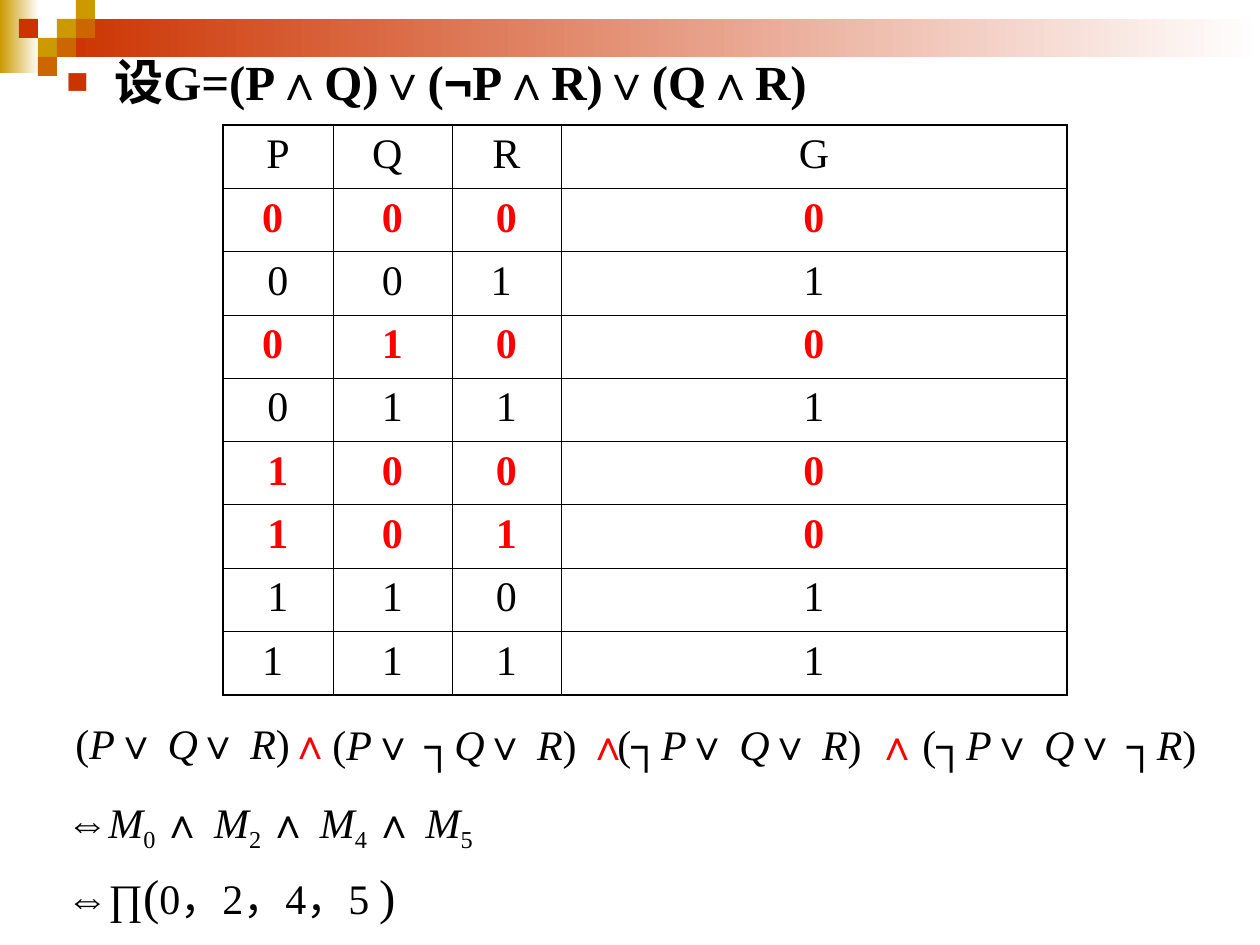
import pptx
import pptx.util
import pptx.oxml
import pptx.oxml.ns
from pptx.dml.color import RGBColor
from pptx.enum.shapes import MSO_SHAPE
from pptx.enum.text import PP_ALIGN

BLACK = RGBColor(0, 0, 0)
WHITE = RGBColor(255, 255, 255)
RED = RGBColor(255, 0, 0)
GOLD = RGBColor(0xCC, 0x99, 0)
RUST = RGBColor(0xCC, 0x33, 0)
AMBER = RGBColor(0xCC, 0x66, 0)

# Content: each run is (text, style)
TITLE = [("设G=(P", "head"), ("∧", "sign"), ("Q)", "head"), ("∨", "sign"),
         ("(", "head"), ("¬", "sign"), ("P", "head"), ("∧", "sign"),
         ("R)", "head"), ("∨", "sign"), ("(Q", "head"), ("∧", "sign"),
         ("R)", "head")]
TABLE = [["P", "Q ", "R", "G"],
         ["0 ", "0", "0", "0"],
         ["0", "0", "1 ", "1"],
         ["0 ", "1", "0", "0"],
         ["0", "1", "1", "1"],
         ["1", "0", "0", "0"],
         ["1", "0", "1", "0"],
         ["1", "1", "0", "1"],
         ["1 ", "1", "1", "1"]]
# left, top, width, then the text before P, Q, R
TERMS = [(63, 711, 244, "(", "∨ ", "∨ "),
         (320, 712, 297, "(", "∨ ┐", "∨ "),
         (605, 712, 282, "(┐", "∨ ", "∨ "),
         (910, 712, 329, "(┐", "∨ ", "∨ ┐")]
ANDS = [(277, 711), (575, 712), (864, 712)]
ZEROS = "0245"
PROD = [("⇔", "arrow"), ("∏", "text"), ("(", "big"),
        ("0，2，4，5 ", "text"), (")", "big")]

# Formats
BASE = {"name": "Times New Roman", "size": pptx.util.Pt(24),
        "bold": False, "italic": False}
BIG = pptx.util.Pt(28)
STYLES = {"text": {}, "sub": {}, "var": {"italic": True},
          "bold": {"bold": True}, "big": {"size": BIG},
          "arrow": {"name": "Arial"}, "head": {"size": BIG, "bold": True},
          "sign": {"name": "Arial", "size": BIG, "bold": True}}

# Layout in px
SCALE = 914400 / 126
STEP = 19
TILES = [(3, 1, GOLD), (4, 0, GOLD), (4, 1, AMBER), (2, 2, GOLD),
         (1, 1, RUST), (3, 2, AMBER), (2, 3, AMBER)]
BANDS = [(0, 0, 39, 73, GOLD), (57, STEP, 1203, 38, RUST)]
COLS = [110, 119, 109, 506]
GRID = (223, 125, sum(COLS), 570)


def px(*nums):
    return [pptx.util.Emu(round(n * SCALE)) for n in nums]


def make(tag, **attrs):
    node = pptx.oxml.parse_xml(f"<a:{tag} {pptx.oxml.ns.nsdecls('a')}/>")
    for key, val in attrs.items():
        node.set(key, str(val))
    return node


def put(para, runs, color=BLACK):
    for text, style in runs:
        run = para.add_run()
        run.text = text
        for key, val in {**BASE, **STYLES[style]}.items():
            setattr(run.font, key, val)
        run.font.color.rgb = color
        if style == "sub":
            run.font._element.set("baseline", "-25000")


def hang(para):
    props = para._p.get_or_add_pPr()
    for key, val in (("marL", 48), ("indent", -48)):
        props.set(key, str(px(val)[0]))
    return props


def box(slide, place, lines, color=BLACK, wrap=True):
    frame = slide.shapes.add_textbox(*px(*place)).text_frame
    frame.word_wrap = wrap
    for num, runs in enumerate(lines):
        para = frame.add_paragraph() if num else frame.paragraphs[0]
        if num:
            para.space_before = pptx.util.Pt(7)
        if wrap:
            hang(para)
        put(para, runs, color)
    return frame


def block(slide, place):
    shape = slide.shapes.add_shape(MSO_SHAPE.RECTANGLE, *px(*place))
    shape.shadow.inherit = False
    shape.line.fill.background()
    return shape.fill


def edge(cell, side, width):
    line = make("ln" + side, w=round(width * 12700))
    fill = make("solidFill")
    fill.append(make("srgbClr", val=BLACK))
    line.append(fill)
    cell._tc.get_or_add_tcPr().append(line)


def grid(slide):
    rows, cols = len(TABLE), len(COLS)
    table = slide.shapes.add_table(rows, cols, *px(*GRID)).table
    table.first_row = table.horz_banding = False
    for col, wide in zip(table.columns, COLS):
        col.width = px(wide)[0]
    for row in table.rows:
        row.height = px(GRID[3] / rows)[0]
    for r, vals in enumerate(TABLE):
        hot = vals[-1] == "0"
        for c, val in enumerate(vals):
            cell = table.cell(r, c)
            outer = {"L": c == 0, "R": c == cols - 1,
                     "T": r == 0, "B": r == rows - 1}
            for side, out in outer.items():
                edge(cell, side, 1.08 if out else 0.45)
            cell.fill.solid()
            cell.fill.fore_color.rgb = WHITE
            para = cell.text_frame.paragraphs[0]
            para.alignment = PP_ALIGN.CENTER
            put(para, [(val, "bold" if hot else "text")],
                RED if hot else BLACK)


def main():
    deck = pptx.Presentation()
    deck.slide_width, deck.slide_height = px(1260, 945)
    slide = deck.slides.add_slide(deck.slide_layouts[6])

    # Corner bands and tiles
    for *place, color in BANDS:
        fill = block(slide, place)
        fill.gradient()
        fill.gradient_angle = 0
        for stop, tint in zip(fill.gradient_stops, (color, WHITE)):
            stop.color.rgb = tint
    for col, row, color in TILES:
        fill = block(slide, (col * STEP, row * STEP, STEP, STEP))
        fill.solid()
        fill.fore_color.rgb = color

    # Title with square bullet
    frame = box(slide, (54, 45, 1131, 89), [TITLE])
    props = hang(frame.paragraphs[0])
    tint = make("buClr")
    tint.append(make("srgbClr", val=RUST))
    for node in (tint, make("buSzPct", val=75000),
                 make("buFont", typeface="Arial"), make("buChar", char="■")):
        props.append(node)

    # Truth table
    grid(slide)

    # Clauses joined by red signs
    for left, top, wide, *marks in TERMS:
        runs = [pair for mark, name in zip(marks, "PQR")
                for pair in ((mark, "text"), (name, "var"))]
        box(slide, (left, top, wide, 69), [runs + [(")", "text")]])
    for left, top in ANDS:
        box(slide, (left, top, 59, 63), [[("∧", "bold")]], RED, False)

    # Maxterm forms
    terms = [("⇔", "arrow")]
    for num, digit in enumerate(ZEROS):
        if num:
            terms += [(" ", "sub"), ("∧ ", "bold")]
        terms += [("M", "var"), (digit, "sub")]
    box(slide, (54, 790, 1062, 144), [terms, PROD])

    deck.save("out.pptx")


if __name__ == "__main__":
    main()
